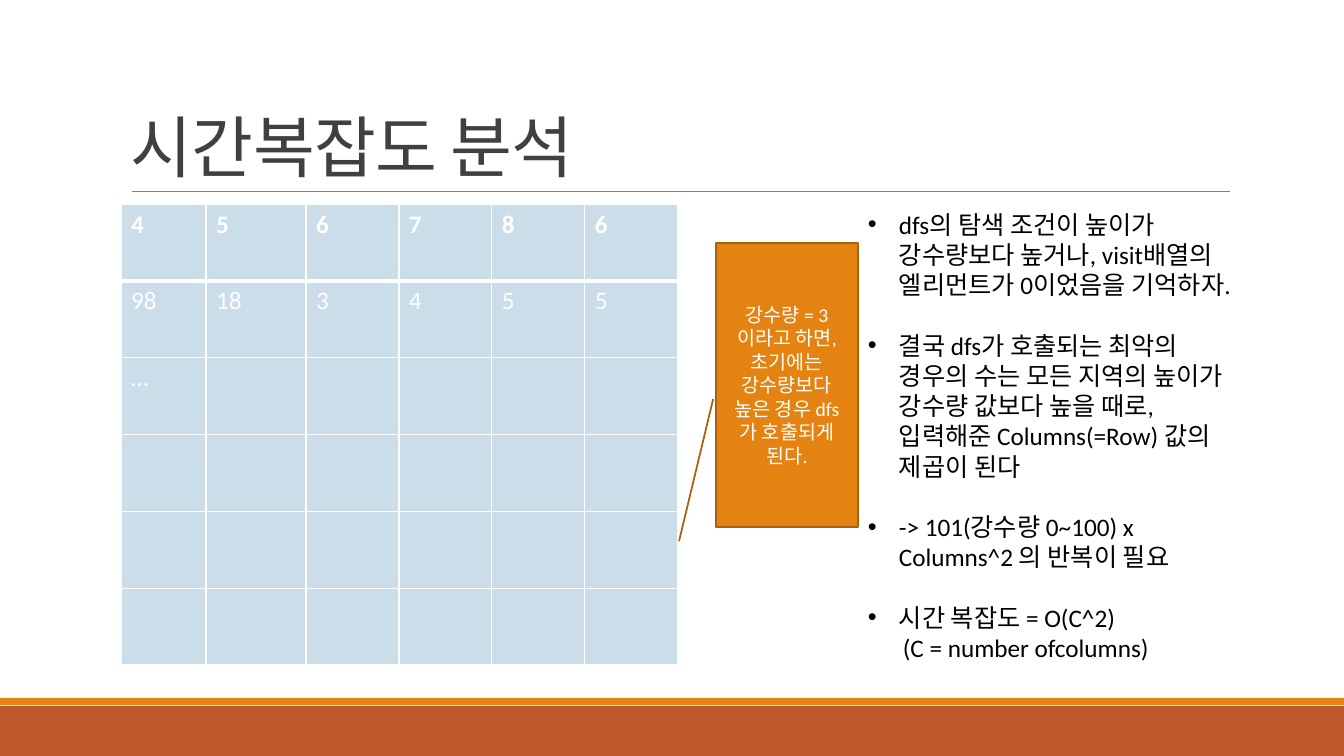
import pptx
import pptx.dml.color
import pptx.enum.shapes
import pptx.enum.text
import pptx.oxml.ns
import pptx.util
from lxml import etree

SLIDE_SIZE = (1344, 756)
EMU_PER_PX = pptx.util.Inches(1) / 100.8
FONT = "Calibri"
COLORS = {
    "footer": "BD582C", "accent": "E48312", "accent_dark": "A9610D",
    "rule": "808080", "title": "404040", "body": "000000",
    "cell": "CCDDEA", "white": "FFFFFF",
}

TITLE = "시간복잡도 분석"
HEIGHTS = [
    ["4", "5", "6", "7", "8", "6"],
    ["98", "18", "3", "4", "5", "5"],
    ["…"],
    [],
    [],
    [],
]
COLUMN_WIDTHS = [85, 100, 93, 93, 93, 93]
CALLOUT = "강수량 = 3 이라고 하면, 초기에는 강수량보다 높은 경우 dfs가 호출되게 된다."
POINTS = [
    "dfs의 탐색 조건이 높이가 강수량보다 높거나, visit배열의 엘리먼트가 0이었음을 기억하자.",
    "결국 dfs가 호출되는 최악의 경우의 수는 모든 지역의 높이가 강수량 값보다 높을 때로, 입력해준 Columns(=Row) 값의 제곱이 된다",
    "-> 101(강수량 0~100) x Columns^2 의 반복이 필요",
    "시간 복잡도 = O(C^2)",
]
NOTE = "(C = number ofcolumns)"

TITLE_BOX = (121, 31, 1109, 160)
TITLE_RULE = (132, 191, 1230, 191)
BANDS = [((0, 706, 1344, 50), "footer"), ((0, 698, 1344, 7), "accent")]
TABLE_BOX = (121, 204, sum(COLUMN_WIDTHS), 461)
CALLOUT_BOX = (716, 243, 142, 284)
CALLOUT_POINTER = (0.55, -0.02, 1.05, -0.26)
POINTS_BOX = (858, 204, 392, 529)
BULLET_INDENT = 31
NOTE_INDENT = 35
POINT_GAP = 21.6


def px(length):
    return round(length * EMU_PER_PX)


def place(box):
    return [px(length) for length in box]


def rgb(name):
    return pptx.dml.color.RGBColor.from_string(COLORS[name])


def style(paragraph, size, color, bold=False):
    paragraph.font.name = FONT
    paragraph.font.size = pptx.util.Pt(size)
    paragraph.font.color.rgb = rgb(color)
    paragraph.font.bold = bold


def add_child(parent, tag, **attributes):
    return etree.SubElement(parent, pptx.oxml.ns.qn(tag), attributes)


def add_filled(slide, kind, box, color):
    shape = slide.shapes.add_shape(kind, *place(box))
    shape.shadow.inherit = False
    shape.fill.solid()
    shape.fill.fore_color.rgb = rgb(color)
    shape.line.fill.background()
    return shape


def add_text_box(slide, box):
    frame = slide.shapes.add_textbox(*place(box)).text_frame
    frame.word_wrap = True
    return frame


def add_title(slide):
    rule = slide.shapes.add_connector(
        pptx.enum.shapes.MSO_CONNECTOR.STRAIGHT, *place(TITLE_RULE))
    rule.line.color.rgb = rgb("rule")
    rule.line.width = pptx.util.Pt(0.5)
    add_child(rule._element.spPr, "a:effectLst")

    frame = add_text_box(slide, TITLE_BOX)
    frame.vertical_anchor = pptx.enum.text.MSO_ANCHOR.BOTTOM
    paragraph = frame.paragraphs[0]
    paragraph.line_spacing = 0.85
    run = paragraph.add_run()
    run.text = TITLE
    style(paragraph, 48, "title")
    run._r.get_or_add_rPr().set("spc", "-50")


def set_borders(cell, header):
    properties = cell._tc.get_or_add_tcPr()
    for index, side in enumerate(("L", "R", "T", "B")):
        points = 3 if header and side == "B" else 1
        border = etree.Element(pptx.oxml.ns.qn(f"a:ln{side}"),
                               w=str(pptx.util.Pt(points)))
        fill = add_child(border, "a:solidFill")
        add_child(fill, "a:srgbClr", val=COLORS["white"])
        properties.insert(index, border)


def add_heights_table(slide):
    table = slide.shapes.add_table(
        len(HEIGHTS), len(COLUMN_WIDTHS), *place(TABLE_BOX)).table
    table.first_row = False
    table.horz_banding = False
    for column, width in zip(table.columns, COLUMN_WIDTHS):
        column.width = px(width)
    for row_index, values in enumerate(HEIGHTS):
        for column_index in range(len(COLUMN_WIDTHS)):
            cell = table.cell(row_index, column_index)
            cell.fill.solid()
            cell.fill.fore_color.rgb = rgb("cell")
            set_borders(cell, row_index == 0)
            if column_index < len(values):
                cell.text = values[column_index]
            style(cell.text_frame.paragraphs[0], 18, "white", row_index == 0)


def add_points(slide):
    frame = add_text_box(slide, POINTS_BOX)
    frame.auto_size = pptx.enum.text.MSO_AUTO_SIZE.SHAPE_TO_FIT_TEXT
    for index, text in enumerate(POINTS + [NOTE]):
        paragraph = frame.add_paragraph() if index else frame.paragraphs[0]
        paragraph.text = text
        style(paragraph, 18, "body")
        properties = paragraph._p.get_or_add_pPr()
        if text == NOTE:
            properties.set("marL", str(px(NOTE_INDENT)))
            continue
        if index:
            paragraph.space_before = pptx.util.Pt(POINT_GAP)
        properties.set("marL", str(px(BULLET_INDENT)))
        properties.set("indent", str(-px(BULLET_INDENT)))
        bullet_font = etree.Element(pptx.oxml.ns.qn("a:buFont"), typeface="Arial")
        bullet = etree.Element(pptx.oxml.ns.qn("a:buChar"), char="•")
        defaults = properties.find(pptx.oxml.ns.qn("a:defRPr"))
        defaults.addprevious(bullet_font)
        defaults.addprevious(bullet)


def add_callout(slide):
    callout = add_filled(
        slide, pptx.enum.shapes.MSO_SHAPE.LINE_CALLOUT_1, CALLOUT_BOX, "accent")
    callout.line.color.rgb = rgb("accent_dark")
    callout.line.width = pptx.util.Pt(1.25)
    for index, value in enumerate(CALLOUT_POINTER):
        callout.adjustments[index] = value
    frame = callout.text_frame
    frame.word_wrap = True
    frame.vertical_anchor = pptx.enum.text.MSO_ANCHOR.MIDDLE
    paragraph = frame.paragraphs[0]
    paragraph.text = CALLOUT
    paragraph.alignment = pptx.enum.text.PP_ALIGN.CENTER
    style(paragraph, 14, "white")


def main():
    presentation = pptx.Presentation()
    presentation.slide_width, presentation.slide_height = place(SLIDE_SIZE)
    slide = presentation.slides.add_slide(presentation.slide_layouts[6])
    for box, color in BANDS:
        add_filled(slide, pptx.enum.shapes.MSO_SHAPE.RECTANGLE, box, color)
    add_title(slide)
    add_heights_table(slide)
    add_points(slide)
    add_callout(slide)
    presentation.save("out.pptx")


if __name__ == "__main__":
    main()
